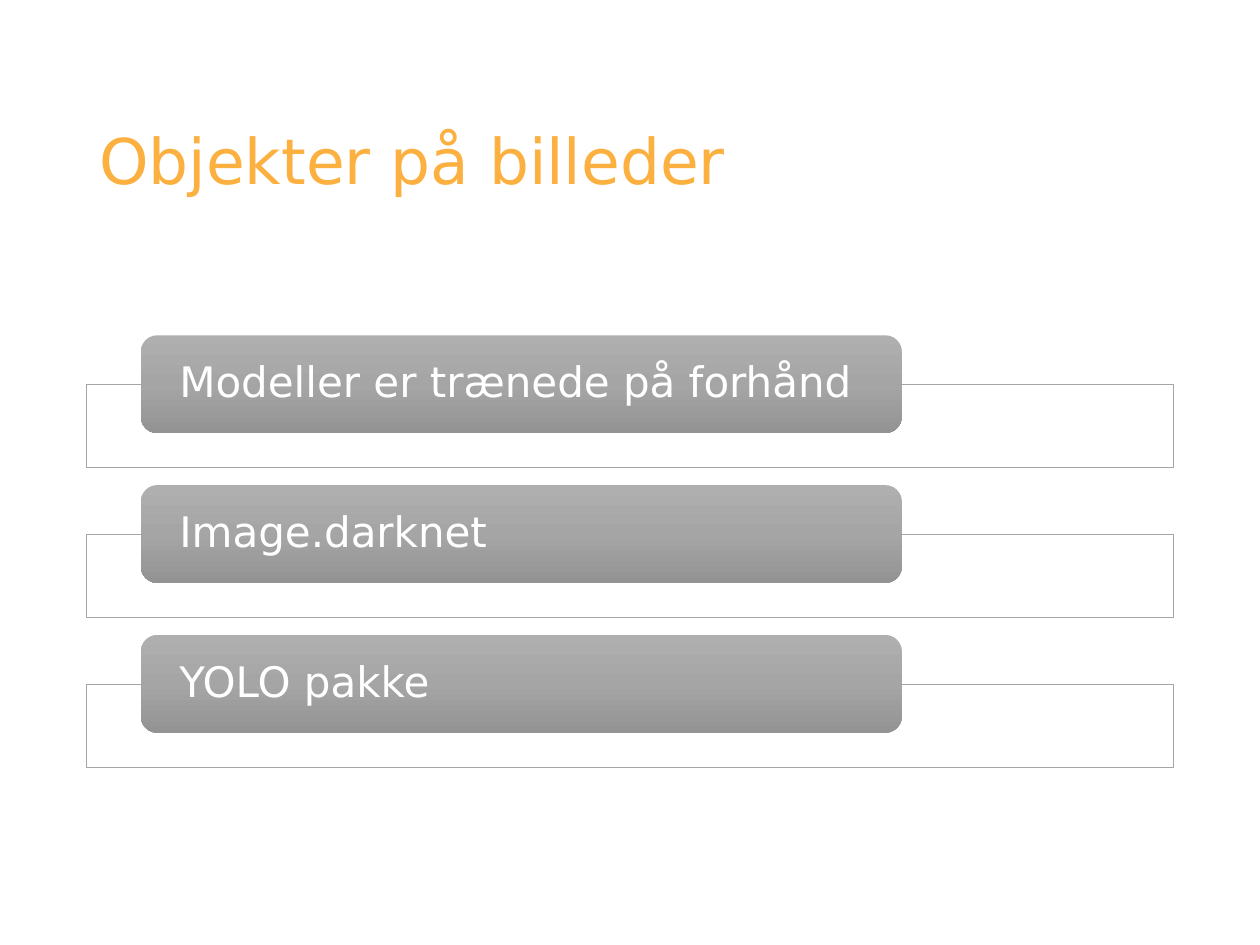
from copy import deepcopy

from lxml import etree
from pptx import Presentation
from pptx.dml.color import RGBColor
from pptx.enum.shapes import MSO_SHAPE
from pptx.enum.text import MSO_ANCHOR, PP_ALIGN
from pptx.oxml.ns import qn
from pptx.util import Cm, Pt

RECTANGLE = MSO_SHAPE.RECTANGLE
ROUNDED = MSO_SHAPE.ROUNDED_RECTANGLE
MIDDLE = MSO_ANCHOR.MIDDLE
LEFT = PP_ALIGN.LEFT

FONT = "DejaVu Sans"
COLORS = {
    "title": "FBB040",
    "paper": "FFFFFF",
    "outline": "A5A5A5",
    "top": "AFAFAF",
    "middle": "A5A5A5",
    "bottom": "939393",
}
TOPICS = ["Modeller er trænede på forhånd", "Image.darknet", "YOLO pakke"]
FIRST_TOP = 6.76
PITCH = 3.02
FRAME_OFFSET = 0.99


def rgb(name):
    return RGBColor.from_string(COLORS[name])


def write_text(shape, text, *, size, color, inset_x, inset_y):
    frame = shape.text_frame
    frame.word_wrap = True
    frame.vertical_anchor = MIDDLE
    frame.margin_left = frame.margin_right = Cm(inset_x)
    frame.margin_top = frame.margin_bottom = Cm(inset_y)
    paragraph = frame.paragraphs[0]
    paragraph.alignment = LEFT
    paragraph.line_spacing = 0.9
    run = paragraph.add_run()
    run.text = text
    run.font.name = FONT
    run.font.size = Pt(size)
    run.font.color.rgb = rgb(color)


class TopicSlide:
    def __init__(self, presentation):
        self.slide = presentation.slides.add_slide(presentation.slide_layouts[6])
        self.left = 1.75
        self.width = 21.9

    def title(self, text):
        heading = self.slide.shapes.add_textbox(
            Cm(self.left), Cm(1.9), Cm(self.width), Cm(2.8))
        write_text(heading, text, size=36, color="title", inset_x=0.25, inset_y=0.13)

    def block(self, kind, left, top, width, height):
        shape = self.slide.shapes.add_shape(
            kind, Cm(left), Cm(top), Cm(width), Cm(height))
        shape.shadow.inherit = False
        return shape

    def frame(self, top):
        frame = self.block(RECTANGLE, self.left, top, self.width, 1.68)
        frame.fill.solid()
        frame.fill.fore_color.rgb = rgb("paper")
        paper = frame.fill._xPr.find(qn("a:solidFill"))[0]
        etree.SubElement(paper, qn("a:alpha"), val="90000")
        frame.line.color.rgb = rgb("outline")
        frame.line.width = Pt(0.5)

    def label(self, top, text):
        label = self.block(ROUNDED, 2.84, top, 15.34, 1.97)
        label.line.fill.background()
        label.fill.gradient()
        label.fill.gradient_angle = 270
        stop_list = label.fill._xPr.find(qn("a:gradFill")).find(qn("a:gsLst"))
        stop_list.append(deepcopy(stop_list[-1]))
        shades = zip(label.fill.gradient_stops, ("top", "middle", "bottom"), (0, 0.5, 1))
        for stop, shade, position in shades:
            stop.color.rgb = rgb(shade)
            stop.position = position
        write_text(label, text, size=24, color="paper", inset_x=0.68, inset_y=0.1)


def main():
    presentation = Presentation()
    presentation.slide_width = Cm(25.4)
    presentation.slide_height = Cm(19.05)
    topic_slide = TopicSlide(presentation)
    topic_slide.title("Objekter på billeder")
    for index, topic in enumerate(TOPICS):
        top = FIRST_TOP + index * PITCH
        topic_slide.frame(top + FRAME_OFFSET)
        topic_slide.label(top, topic)
    presentation.save("out.pptx")


if __name__ == "__main__":
    main()
